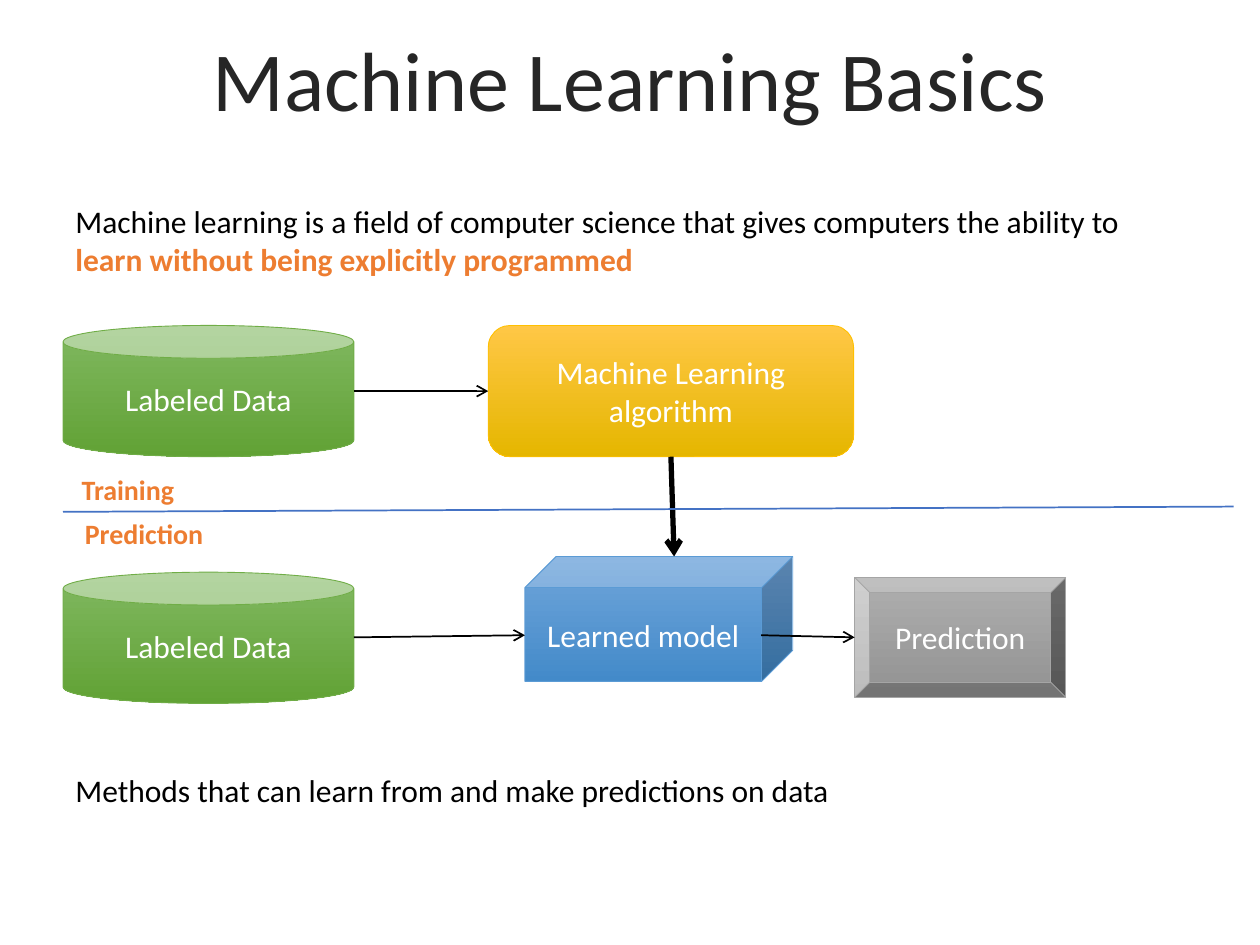
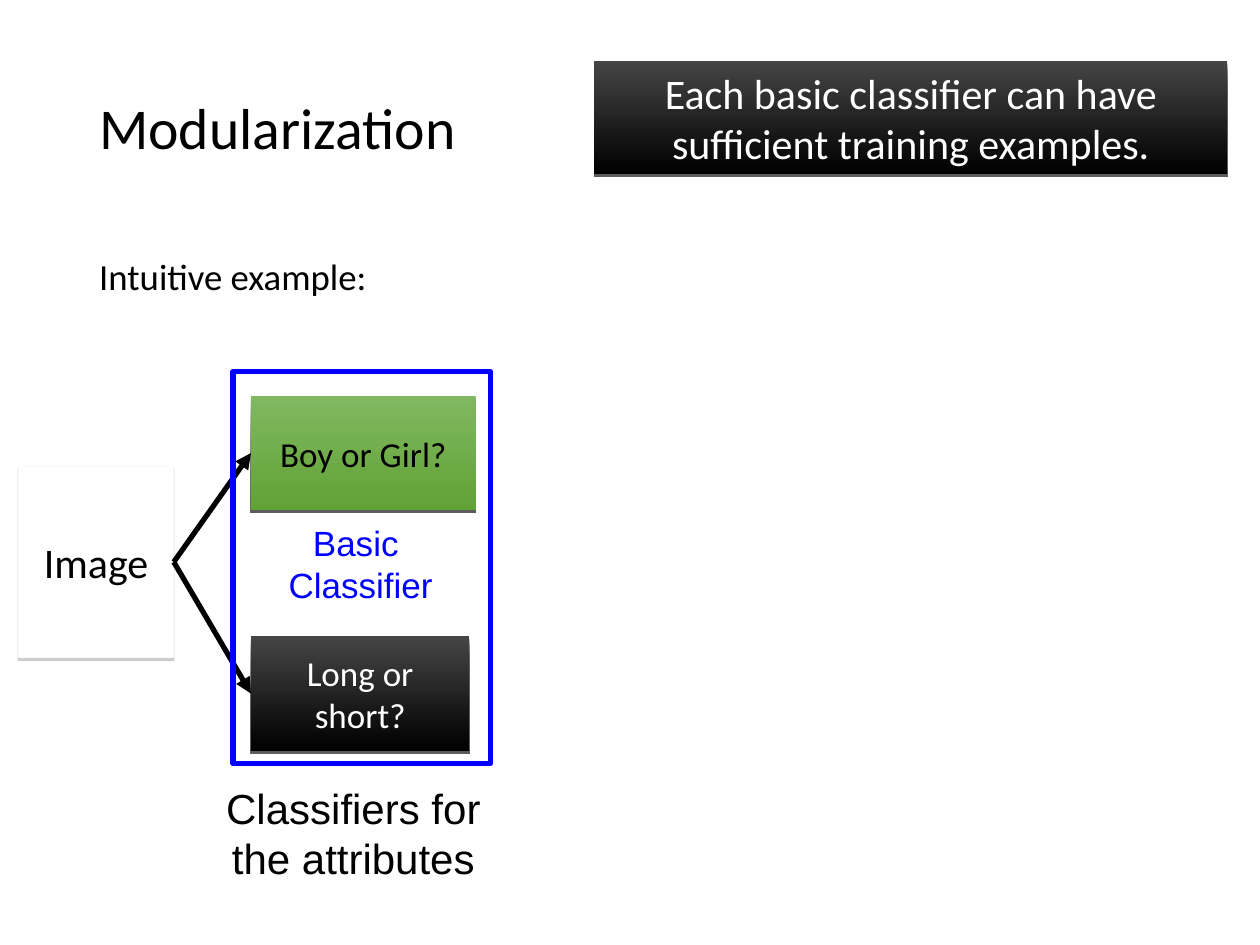
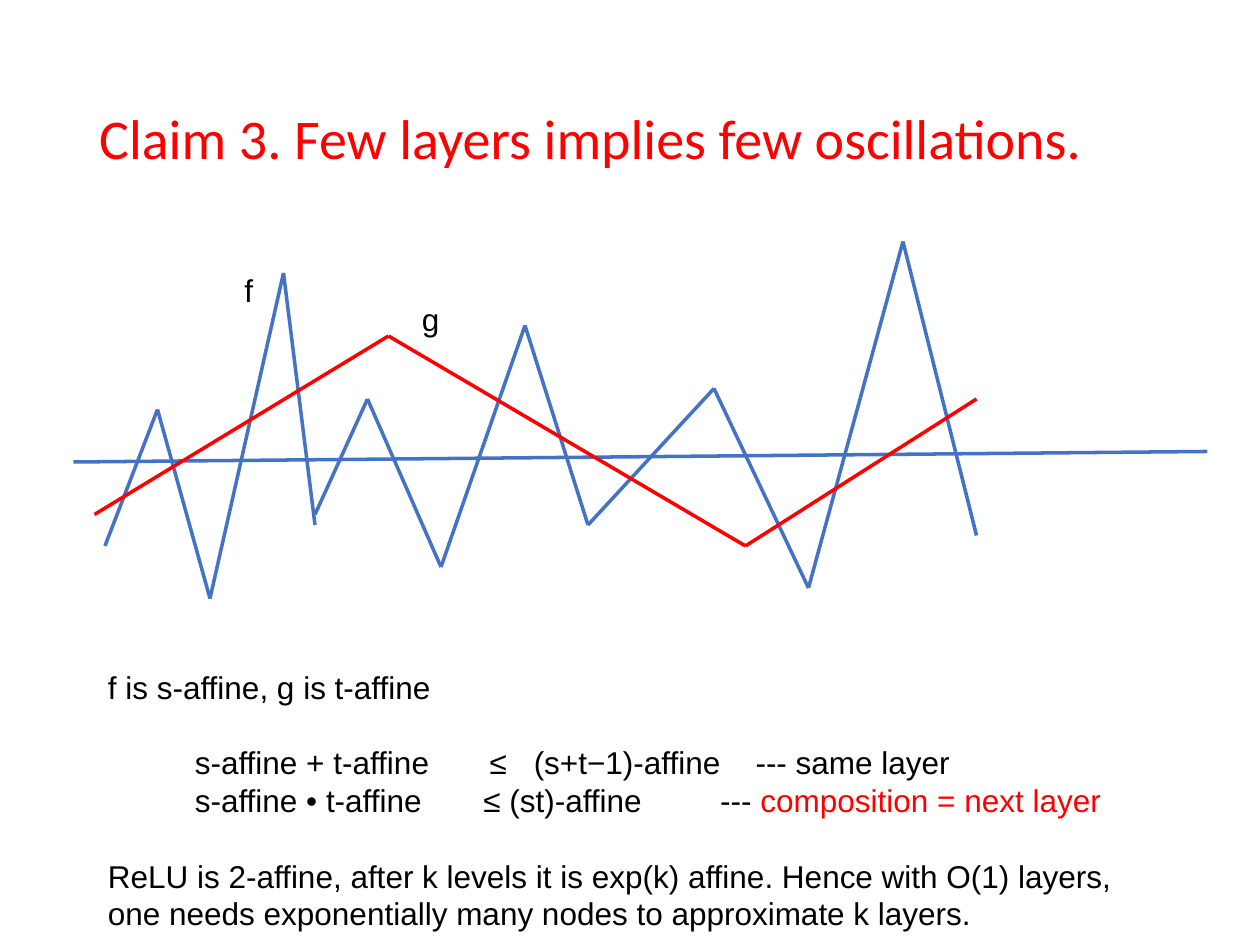
from itertools import pairwise

from lxml import etree
from pptx import Presentation
from pptx import util as u
from pptx.dml.color import RGBColor
from pptx.enum import shapes, text
from pptx.oxml.ns import qn

# Shared style: the grid has 12 cells to the inch
COLS, ROWS = 120, 90
BLACK, WHITE, RED = "000000", "FFFFFF", "FF0000"
BLUE, ORANGE, PURE_BLUE = "4472C4", "ED7D31", "0000FF"
GREEN_FADE = ("81B861", "61A235")
BLACK_FADE = ("454545", BLACK)
SHAPE = shapes.MSO_SHAPE
LEFT, CENTER = text.PP_ALIGN.LEFT, text.PP_ALIGN.CENTER
TOP, MIDDLE = text.MSO_ANCHOR.TOP, text.MSO_ANCHOR.MIDDLE
SIDE_LEFT, SIDE_BOTTOM, SIDE_RIGHT = 1, 2, 3


def rgb(value):
    return RGBColor.from_string(value)


def add_xml(parent, tag, **attrs):
    return etree.SubElement(parent, qn(tag), {k: str(v) for k, v in attrs.items()})


class Deck:
    def __init__(self):
        self.prs = Presentation()
        self.prs.slide_width, self.prs.slide_height = u.Inches(10), u.Inches(7.5)
        self.s = None

    def x(self, col):
        return round(self.prs.slide_width * col / COLS)

    def y(self, row):
        return round(self.prs.slide_height * row / ROWS)

    def box(self, col, row, width, height):
        return self.x(col), self.y(row), self.x(width), self.y(height)

    def slide(self, layout):
        self.s = self.prs.slides.add_slide(self.prs.slide_layouts.get_by_name(layout))

    def format_run(self, r, size, color, font, bold=False):
        r.font.size, r.font.name, r.font.bold = u.Pt(size), font, bold
        r.font.color.rgb = rgb(color)

    def set_text(self, tf, words, size, color=BLACK, font="Calibri", align=LEFT,
                 anchor=TOP, bold=False, wrap=True):
        tf.text = words
        tf.word_wrap, tf.vertical_anchor = wrap, anchor
        tf.auto_size = text.MSO_AUTO_SIZE.NONE
        for p in tf.paragraphs:
            p.alignment = align
            if font == "Arial":
                p.line_spacing = u.Pt(1.2 * size)
            for r in p.runs:
                self.format_run(r, size, color, font, bold)

    def accent(self, p, words, color, bold=False):
        """Continue a paragraph in another colour."""
        first = p.runs[0].font
        r = p.add_run()
        r.text = words
        self.format_run(r, first.size.pt, color, first.name, bold)

    def tabs(self, p, *inches):
        stops = add_xml(p._p.get_or_add_pPr(), "a:tabLst")
        for stop in inches:
            add_xml(stops, "a:tab", pos=u.Inches(stop), algn="l")

    def place(self, sp, area):
        sp.left, sp.top, sp.width, sp.height = self.box(*area)

    def title(self, area, words, size, color=BLACK, align=LEFT):
        sp = self.s.shapes.title
        self.place(sp, area)
        self.set_text(sp.text_frame, words, size, color, align=align, anchor=MIDDLE)
        sp.text_frame.paragraphs[0].line_spacing = 0.9

    def body(self, area, words, size):
        sp = self.s.placeholders[1]
        self.place(sp, area)
        self.set_text(sp.text_frame, words, size)
        for p in sp.text_frame.paragraphs:
            pPr = p._p.get_or_add_pPr()
            pPr.set("marL", "0")
            pPr.set("indent", "0")
            add_xml(pPr, "a:buNone")
            p.line_spacing, p.space_before = 0.9, u.Pt(0)

    def label(self, area, words, size, **style):
        sp = self.s.shapes.add_textbox(*self.box(*area))
        self.set_text(sp.text_frame, words, size, **style)
        return sp.text_frame

    def shape(self, kind, area, words="", size=18, fill=None, line=None, weight=0.5,
              color=WHITE, shadow=None):
        """Fill is a colour, a (top, bottom) fade or None; shadow is (colour, alpha %)."""
        sp = self.s.shapes.add_shape(kind, *self.box(*area))
        if fill is None:
            sp.fill.background()
        elif isinstance(fill, tuple):
            sp.fill.gradient()
            sp.fill.gradient_angle = 270
            for stop, shade in zip(sp.fill.gradient_stops, fill):
                stop.color.rgb = rgb(shade)
        else:
            sp.fill.solid()
            sp.fill.fore_color.rgb = rgb(fill)
        if line:
            sp.line.color.rgb, sp.line.width = rgb(line), u.Pt(weight)
        else:
            sp.line.fill.background()
        sp.shadow.inherit = False
        if shadow:
            effects = sp._element.spPr.find(qn("a:effectLst"))
            outer = add_xml(effects, "a:outerShdw", blurRad=0, dist=u.Pt(1.5),
                            dir=90 * 60000, rotWithShape=0)
            tone = add_xml(outer, "a:srgbClr", val=shadow[0])
            add_xml(tone, "a:alpha", val=shadow[1] * 1000)
        if words:
            self.set_text(sp.text_frame, words, size, color, align=CENTER, anchor=MIDDLE)
        return sp

    def line(self, start, end, color=BLACK, weight=1, head=None, begin=None, finish=None):
        """Begin and finish are (shape, side) pairs to join."""
        c = self.s.shapes.add_connector(
            shapes.MSO_CONNECTOR.STRAIGHT, self.x(start[0]), self.y(start[1]),
            self.x(end[0]), self.y(end[1]))
        c.line.color.rgb, c.line.width = rgb(color), u.Pt(weight)
        spPr = c._element.spPr
        if head:
            add_xml(spPr.find(qn("a:ln")), "a:tailEnd", type=head)
        add_xml(spPr, "a:effectLst")
        if begin:
            c.begin_connect(*begin)
        if finish:
            c.end_connect(*finish)

    def polyline(self, points, color):
        for start, end in pairwise(points):
            self.line(start, end, color, 2)


def basics(d):
    d.slide("Title Only")
    d.title((7.2, 2.4, 105.6, 11.3), "Machine Learning Basics", 48, "262626", CENTER)
    tf = d.label((6, 18.7, 103.7, 8.4), "Machine learning is a field of computer science "
                 "that gives computers the ability to ", 18)
    d.accent(tf.paragraphs[0], "learn without being explicitly programmed", ORANGE, True)
    d.label((6, 72.8, 111.5, 4.8),
            "Methods that can learn from and make predictions on data", 18)

    # Training row above, prediction row below
    for row in (31, 54.5):
        d.shape(SHAPE.CAN, (6, row, 27.7, 12.5), "Labeled Data",
                fill=GREEN_FADE, line="70AD47")
    algorithm = d.shape(SHAPE.ROUNDED_RECTANGLE, (46.5, 31, 34.8, 12.5),
                        "Machine Learning algorithm",
                        fill=("FFC746", "E5B600"), line="FFC000")
    d.shape(SHAPE.CUBE, (50, 53, 25.5, 11.9), "Learned model",
            fill=("71A6DB", "438AC9"), line="5B9BD5")
    d.shape(SHAPE.BEVEL, (81.4, 55, 20.1, 11.4), "Prediction",
            fill=("AFAFAF", "929292"), line="A5A5A5")

    # Flow
    d.line((33.7, 37.25), (46.5, 37.25), head="arrow", finish=(algorithm, SIDE_LEFT))
    d.line((33.7, 60.7), (50, 60.5), head="arrow")
    d.line((72.5, 60.5), (81.4, 60.7), head="arrow")
    d.line((63.9, 43.5), (64.2, 53), weight=3, head="arrow",
           begin=(algorithm, SIDE_BOTTOM))

    # Divider between the phases
    d.line((6, 48.75), (117.5, 48.25), BLUE)
    for col, row, width, phase in ((6.6, 44.4, 11.4, "Training"),
                                   (6.9, 48.6, 13.7, "Prediction")):
        d.label((col, row, width, 4.4), phase, 16, color=ORANGE, bold=True, wrap=False)


def modularization(d):
    d.slide("Title and Content")
    d.title((8.25, 3.8, 103.5, 17.4), "Modularization", 33)
    d.body((8.25, 24, 103.5, 57.1), "Intuitive example:", 21)

    # Image feeding two classifiers
    dark = (BLACK, 63)
    image = d.shape(SHAPE.RECTANGLE, (1.75, 44.4, 14.8, 18.25), "Image", 24, WHITE,
                    "F9F9F9", 0.75, BLACK, ("808080", 38))
    length = d.shape(SHAPE.RECTANGLE, (23.9, 60.6, 20.8, 10.9), "Long or short?", 20,
                     BLACK_FADE, shadow=dark)
    gender = d.shape(SHAPE.RECTANGLE, (23.9, 37.7, 21.4, 10.9), "Boy or Girl?", 20,
                     GREEN_FADE, color=BLACK, shadow=dark)
    for classifier, row in ((gender, 43.1), (length, 66)):
        d.line((16.6, 53.5), (23.9, row), weight=3, head="triangle",
               begin=(image, SIDE_RIGHT), finish=(classifier, SIDE_LEFT))

    # Captions and frame
    d.label((18, 73.9, 31.3, 10.8), "Classifiers for the attributes", 24,
            font="Arial", align=CENTER)
    d.shape(SHAPE.RECTANGLE, (56.6, 5.8, 60.3, 10.8),
            "Each basic classifier can have sufficient training examples.", 24,
            BLACK_FADE, shadow=dark)
    d.shape(SHAPE.RECTANGLE, (22.2, 35.4, 24.5, 37.3), line=PURE_BLUE, weight=3)
    d.label((25.9, 49.1, 16.9, 9.2), "Basic \nClassifier", 20, color=PURE_BLUE,
            font="Arial", align=CENTER)


def oscillations(d):
    d.slide("Title Only")
    d.title((8.25, 4.8, 103.5, 17.4), "Claim 3. Few layers implies few oscillations.",
            32, RED)

    # Axis, f in two pieces, and g
    d.polyline([(7, 44), (115, 43)], BLUE)
    d.polyline([(10, 52), (15, 39), (20, 57), (27, 26), (30, 50)], BLUE)
    d.polyline([(30, 49), (35, 38), (42, 54), (50, 31), (56, 50), (68, 37), (77, 56),
                (86, 23), (93, 51)], BLUE)
    d.polyline([(9, 49), (37, 32), (71, 52), (93, 38)], RED)
    d.label((39, 28, 4.1, 4.8), "g", 18, font="Arial", wrap=False)
    d.label((22.1, 25.2, 3.2, 4.8), "f", 18, font="Arial", wrap=False)

    # Argument
    tf = d.label((9.1, 63, 98.9, 26.4), "\n".join((
        "f is s-affine, g is t-affine",
        "\ts-affine + t-affine\t≤\t(s+t−1)-affine\t--- same layer",
        "\ts-affine • t-affine\t≤ (st)-affine\t--- ",
        "ReLU is 2-affine, after k levels it is exp(k) affine. Hence with O(1) layers,",
        "one needs exponentially many nodes to approximate k layers.")), 18, font="Arial")
    _, layer, composition, relu, _ = tf.paragraphs
    d.tabs(layer, 0.69, 3.03, 3.38, 5.14)
    d.tabs(composition, 0.69, 2.98, 4.86)
    d.accent(composition, "composition = next layer", RED)
    for p in (layer, relu):
        p.space_before = u.Pt(21.6)


def main():
    d = Deck()
    for build in (basics, modularization, oscillations):
        build(d)
    d.prs.save("out.pptx")


if __name__ == "__main__":
    main()
